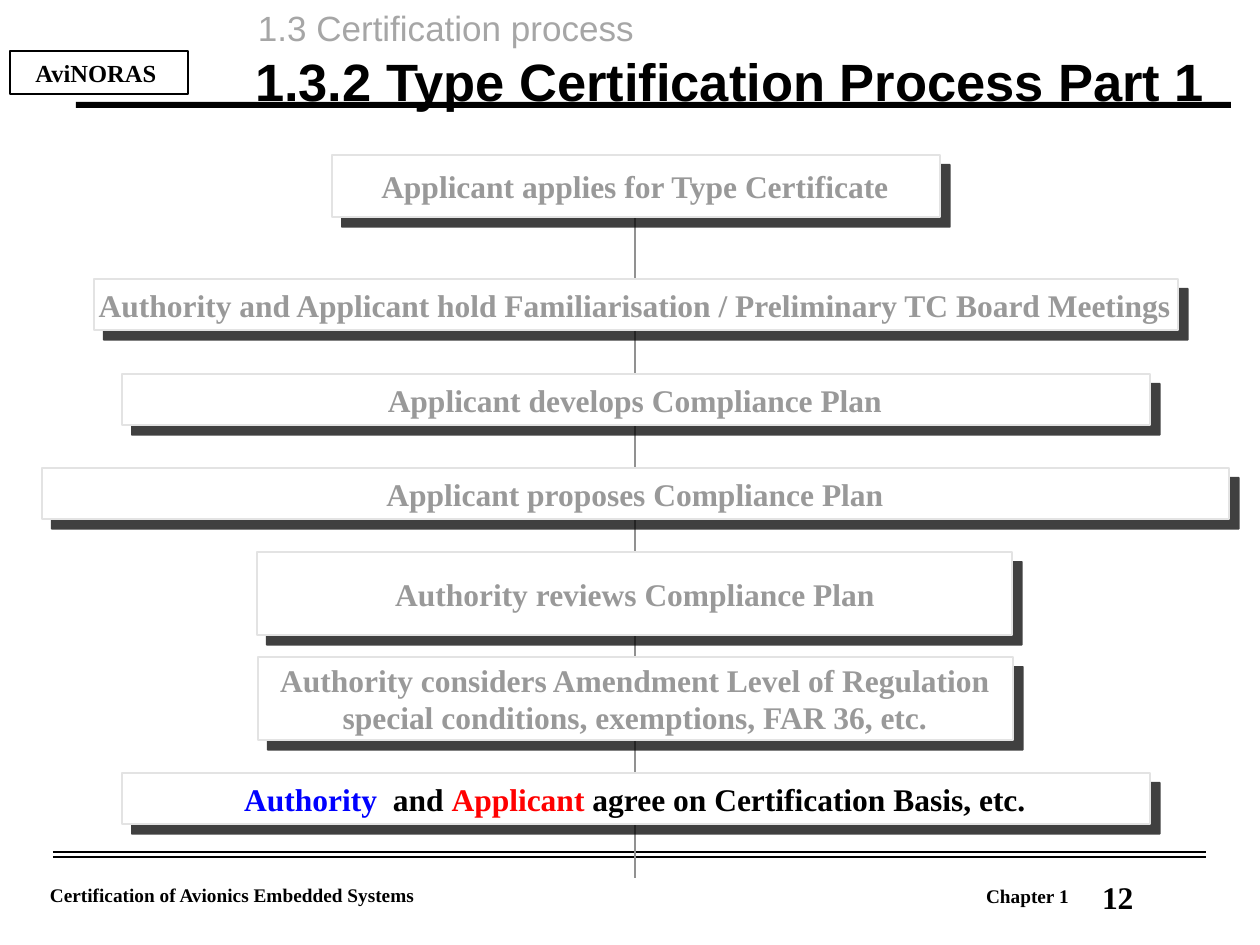
from lxml import etree
from pptx import Presentation
from pptx.dml.color import RGBColor
from pptx.enum.shapes import MSO_CONNECTOR as CONN, MSO_SHAPE as SHAPE
from pptx.enum.text import MSO_ANCHOR as ANCHOR, MSO_AUTO_SIZE as AUTO, PP_ALIGN as ALIGN
from pptx.oxml import parse_xml
from pptx.oxml.ns import nsdecls, qn
from pptx.util import Inches, Pt

PX = Inches(1) / 126
BLACK = RGBColor(0x00, 0x00, 0x00)
WHITE = RGBColor(0xFF, 0xFF, 0xFF)
PALE = RGBColor(0xE3, 0xE3, 0xE3)
GREY = RGBColor(0x99, 0x99, 0x99)
SOFT = RGBColor(0xA6, 0xA6, 0xA6)
STEM = RGBColor(0x91, 0x91, 0x91)
BLUE = RGBColor(0x00, 0x00, 0xFF)
RED = RGBColor(0xFF, 0x00, 0x00)
SERIF, SANS = "Times New Roman", "Arial"
SHADOW = (
    f'<a:effectLst {nsdecls("a")}><a:outerShdw dist="{Pt(8)}" dir="2700000" algn="ctr" '
    'rotWithShape="0"><a:srgbClr val="000000"><a:alpha val="75000"/></a:srgbClr>'
    '</a:outerShdw></a:effectLst>'
)

deck = Presentation()
deck.slide_width, deck.slide_height = Inches(10), Inches(7.5)
slide = deck.slides.add_slide(deck.slide_layouts[5])
shapes = slide.shapes


def place(*sizes):
    return [round(size * PX) for size in sizes]


def write(box, lines, size, color, font=SERIF, bold=True, align=ALIGN.LEFT, pad=(12, 6)):
    frame = box.text_frame
    frame.margin_left = frame.margin_right = round(pad[0] * PX)
    frame.margin_top = frame.margin_bottom = round(pad[1] * PX)
    for i, line in enumerate(lines):
        para = frame.add_paragraph() if i else frame.paragraphs[0]
        para.alignment = align
        para.font.size, para.font.name, para.font.bold = Pt(size), font, bold
        if isinstance(line, str):
            para.font.color.rgb = color
            para.add_run().text = line
        else:
            for words, tint in line:
                run = para.add_run()
                run.text = words
                run.font.color.rgb = tint


# Header badge and thick bar
for spot, fill, edge in [((10, 51, 178, 43), WHITE, BLACK), ((76, 102, 1155, 6), BLACK, None)]:
    rect = shapes.add_shape(SHAPE.RECTANGLE, *place(*spot))
    rect.shadow.inherit = False
    rect.fill.solid()
    rect.fill.fore_color.rgb = fill
    if edge is None:
        rect.line.fill.background()
    else:
        rect.line.color.rgb, rect.line.width = edge, Pt(1)

# Header and footer text
for spot, words, size, color, font, bold, align in [
    ((-25, 52, 242, 42), "AviNORAS", 14, BLACK, SERIF, True, ALIGN.CENTER),
    ((246, 0, 693, 55), "1.3 Certification process", 20, SOFT, SANS, False, ALIGN.LEFT),
    ((38, 877, 529, 35), "Certification of Avionics Embedded Systems", 11, BLACK, SERIF, True, ALIGN.LEFT),
    ((974, 878, 130, 35), "Chapter 1", 11, BLACK, SERIF, True, ALIGN.LEFT),
    ((1090, 872, 168, 47), "12", 18, BLACK, SERIF, True, ALIGN.LEFT),
]:
    box = shapes.add_textbox(*place(*spot))
    box.text_frame.word_wrap = True
    write(box, [words], size, color, font, bold, align)

# Title
title = shapes.title
title.left, title.top, title.width, title.height = place(243, 38, 973, 158)
title.text_frame.auto_size = AUTO.NONE
title.text_frame.vertical_anchor = ANCHOR.TOP
write(title, ["1.3.2 Type Certification Process Part 1"], 30, BLACK, SANS)
title.text_frame.margin_right = round(5 * PX)
title.text_frame.paragraphs[0].line_spacing = 1.08

# Double footer rule and the stem that joins the steps
for ends, color in [
    ((53, 852, 1206, 852), BLACK),
    ((53, 857, 1206, 857), BLACK),
    ((635, 573, 635, 668), STEM),
    ((635, 174, 635, 878), STEM),
]:
    line = shapes.add_connector(CONN.STRAIGHT, *place(*ends))
    line.line.color.rgb, line.line.width = color, Pt(1)
    etree.SubElement(line._element.spPr, qn("a:effectLst"))

# Process steps: box left, top, width, height, then label width and lines
agree = [("Authority", BLUE), ("  and ", BLACK), ("Applicant", RED),
         (" agree on Certification Basis, etc.", BLACK)]
steps = [
    (332, 155, 608, 62, 522, ["Applicant applies for Type Certificate"]),
    (94, 279, 1084, 51, 1086,
     ["Authority and Applicant hold Familiarisation / Preliminary TC Board Meetings"]),
    (122, 374, 1028, 51, 505, ["Applicant develops Compliance Plan"]),
    (42, 468, 1187, 51, 509, ["Applicant proposes Compliance Plan"]),
    (257, 552, 755, 83, 491, ["Authority reviews Compliance Plan"]),
    (258, 657, 755, 83, 755, ["Authority considers Amendment Level of Regulation",
                              "special conditions, exemptions, FAR 36, etc."]),
    (122, 773, 1028, 51, 793, [agree]),
]
for left, top, width, height, span, lines in steps:
    card = shapes.add_shape(SHAPE.RECTANGLE, *place(left, top, width, height))
    card.fill.solid()
    card.fill.fore_color.rgb = WHITE
    card.line.color.rgb, card.line.width = PALE, Pt(1)
    card._element.spPr.append(parse_xml(SHADOW))

    tall = 38 * len(lines)
    label = shapes.add_textbox(*place(635 - span / 2, top + (height - tall) / 2, span, tall))
    label.text_frame.word_wrap = False
    label.text_frame.vertical_anchor = ANCHOR.MIDDLE
    write(label, lines, 18, GREY, align=ALIGN.CENTER, pad=(0, 0))

deck.save("out.pptx")
